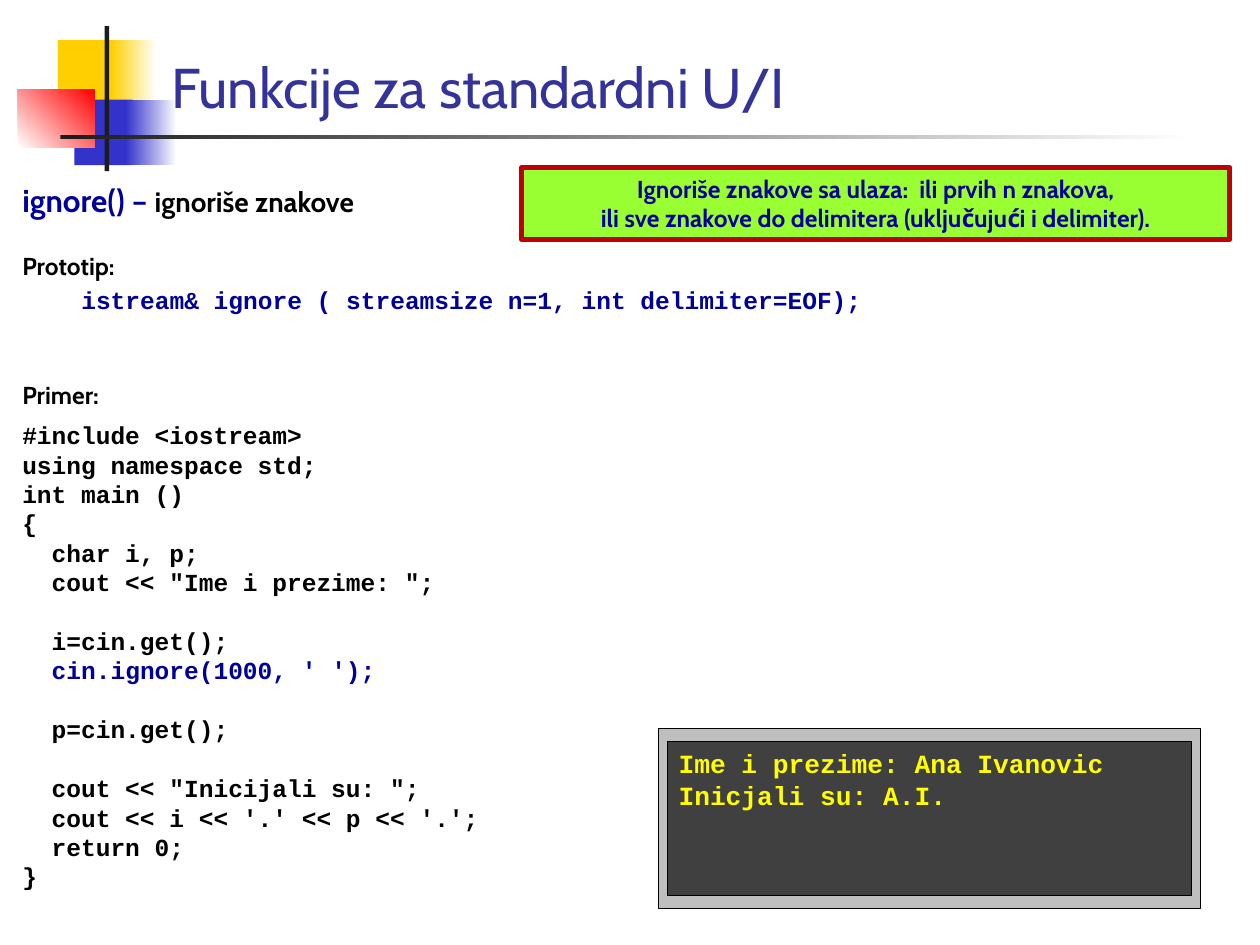
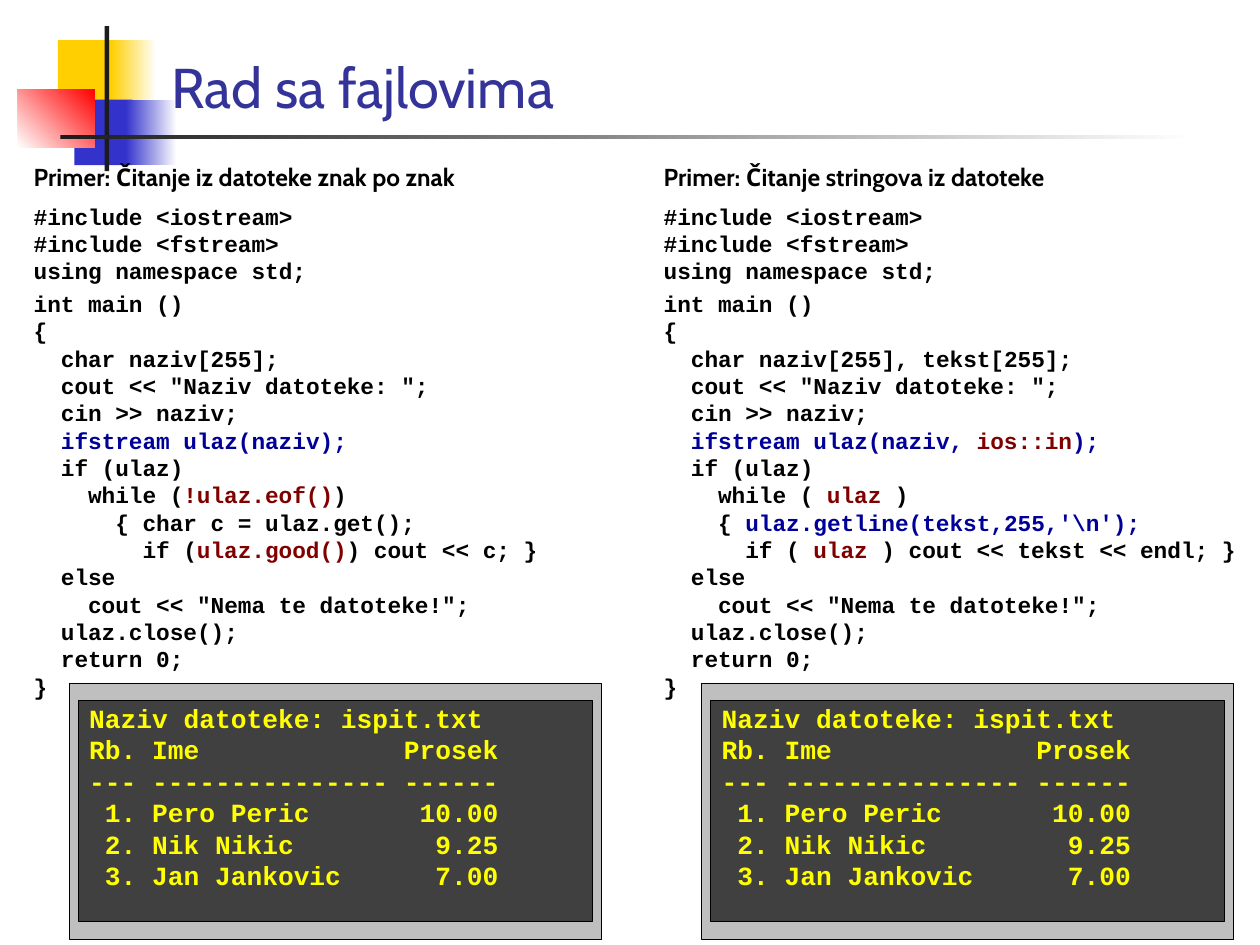
"""Build two lecture slides on C++ stream input and reading files."""
import pptx
import pptx.dml.color
import pptx.enum.shapes
import pptx.enum.text
import pptx.util

Cm = pptx.util.Cm
Pt = pptx.util.Pt
RECTANGLE = pptx.enum.shapes.MSO_SHAPE.RECTANGLE

COLORS = {
    "white": "FFFFFF", "black": "000000", "ink": "1C1C1C",
    "gold": "FFCF01", "royal": "3333CC", "red": "FF0000",
    "title": "333399", "navy": "000099", "maroon": "800000",
    "lime": "99FF33", "border": "C00000",
    "frame": "BFBFBF", "screen": "404040", "output": "FFFF00",
}
PROSE = "Cabin"
CODE = "Courier New"
BLANK_LINE = 16.8


def line(*parts, font=CODE, size=14, color="black", before=0, indent=0):
    """Describe one paragraph; a part is a text or a (text, colour) pair."""
    pairs = [(part, color) if isinstance(part, str) else part for part in parts]
    return {"parts": pairs, "font": font, "size": size, "before": before, "indent": indent}


class Deck:
    """Hold the shared style and the slide being drawn."""

    def __init__(self):
        self.presentation = pptx.Presentation()
        self.presentation.slide_width = Cm(25.4)
        self.presentation.slide_height = Cm(19.05)
        self.layout = self.presentation.slide_layouts[5]
        self.slide = None

    def rgb(self, name):
        """Return a palette colour."""
        return pptx.dml.color.RGBColor.from_string(COLORS[name])

    def start(self, title):
        """Add a slide with its title."""
        self.slide = self.presentation.slides.add_slide(self.layout)
        heading = self.slide.shapes.title
        heading.left, heading.top, heading.width, heading.height = map(Cm, (3.2, 0.33, 22.2, 2.21))
        frame = heading.text_frame
        frame.auto_size = pptx.enum.text.MSO_AUTO_SIZE.NONE
        frame.vertical_anchor = pptx.enum.text.MSO_ANCHOR.BOTTOM
        self.set_lines(frame, [line(title, font=PROSE, size=32, color="title")], bold=False)

    def block(self, box, fill, fade=None, angle=0, border=None, border_width=0.5, shapes=None):
        """Draw a rectangle, plain or fading from one colour to another."""
        shapes = self.slide.shapes if shapes is None else shapes
        rectangle = shapes.add_shape(RECTANGLE, *map(Cm, box))
        rectangle.shadow.inherit = False
        if fade:
            rectangle.fill.gradient()
            rectangle.fill.gradient_angle = angle
            for stop, color in zip(rectangle.fill.gradient_stops, (fill, fade)):
                stop.color.rgb = self.rgb(color)
        else:
            rectangle.fill.solid()
            rectangle.fill.fore_color.rgb = self.rgb(fill)
        if border:
            rectangle.line.color.rgb = self.rgb(border)
            rectangle.line.width = Pt(border_width)
        else:
            rectangle.line.fill.background()
        return rectangle

    def decorate_layout(self):
        """Move the coloured squares and rules onto the shared layout."""
        ornaments = (
            ((1.17, 0.81, 1.22, 1.32), "gold"),
            ((2.24, 0.81, 0.91, 1.32), "gold", "white"),
            ((1.5, 2.01, 1.17, 1.32), "royal"),
            ((2.54, 2.01, 1.02, 1.32), "royal", "white"),
            ((0.36, 1.8, 1.55, 1.17), "white", "red", 45),
            ((2.11, 0.53, 0.09, 2.92), "ink"),
            ((1.22, 2.72, 22.86, 0.09), "ink", "white"),
        )
        for ornament in ornaments:
            self.layout.shapes.element.append(self.block(*ornament).element)

    def set_lines(self, frame, lines, bold=True, align=pptx.enum.text.PP_ALIGN.LEFT):
        """Fill a text frame with described lines."""
        frame.word_wrap = True
        for number, entry in enumerate(lines):
            paragraph = frame.add_paragraph() if number else frame.paragraphs[0]
            paragraph.alignment = align
            paragraph.space_before = Pt(entry["before"])
            if entry["indent"]:
                paragraph._p.get_or_add_pPr().set("marL", str(Cm(entry["indent"])))
            for text, color in entry["parts"]:
                run = paragraph.add_run()
                run.text = text
                run.font.name = entry["font"]
                run.font.size = Pt(entry["size"])
                run.font.bold = bold
                run.font.color.rgb = self.rgb(color)

    def text(self, box, lines):
        """Add a text box."""
        frame = self.slide.shapes.add_textbox(*map(Cm, box)).text_frame
        self.set_lines(frame, lines)
        return frame

    def callout(self, box, lines):
        """Add a bordered green note."""
        note = self.block(box, "lime", border="border", border_width=3)
        note.text_frame.vertical_anchor = pptx.enum.text.MSO_ANCHOR.TOP
        self.set_lines(note.text_frame, lines, align=pptx.enum.text.PP_ALIGN.CENTER)

    def console(self, box, rim, lines, lift=0):
        """Add a monitor showing program output."""
        left, top, width, height = box
        side = 0.18
        screen = (left + side, top + rim, width - 2 * side, height - 2 * rim)
        monitor = self.slide.shapes.add_group_shape()
        self.block(box, "frame", border="black", shapes=monitor.shapes)
        self.block(screen, "screen", border="black", shapes=monitor.shapes)
        output = (screen[0] + 0.22, screen[1] - lift, screen[2] - 0.22, screen[3])
        frame = self.text(output, [line(row, size=15, color="output") for row in lines])
        frame.margin_left = frame.margin_right = 0


def listing(heading, *body):
    """Wrap the body of a file-reading program in its common lines."""
    start = [
        line(heading, font=PROSE),
        line("#include <iostream>", size=13, before=6),
        line("#include <fstream>", size=13),
        line("using namespace std;", size=13),
        line("int main ()", size=13, before=3),
    ]
    end = ("  else", '    cout << "Nema te datoteke!";', "  ulaz.close();", "  return 0;", "}")
    rows = [row if isinstance(row, tuple) else (row,) for row in ("{", *body, *end)]
    return start + [line(*row, size=13) for row in rows]


def ignore_slide(deck):
    """Explain ignore() with its prototype and an example."""
    deck.start("Funkcije za standardni U/I")
    deck.decorate_layout()
    name = line(("ignore() – ", "navy"), "ignoriše znakove", font=PROSE, size=16)
    prototype = [
        name,
        line("Prototip:", font=PROSE, before=18),
        line("istream& ignore ( streamsize n=1, int delimiter=EOF);",
             color="navy", before=3, indent=1.19),
    ]
    heading = deck.text((0.2, 3.53, 20.93, 3.81), prototype).paragraphs[0]
    heading.runs[0].font.size = Pt(18)
    deck.console((13.28, 14.68, 10.92, 3.63), 0.26,
                 ("Ime i prezime: Ana Ivanovic", "Inicjali su: A.I."))
    deck.callout((10.52, 3.38, 14.27, 1.45), [
        line(row, font=PROSE, color="navy") for row in (
            "Ignoriše znakove sa ulaza:  ili prvih n znakova,",
            "ili sve znakove do delimitera (uključujući i delimiter).")
    ])
    deck.text((0.2, 7.54, 10.72, 8.53), [
        line("Primer:", font=PROSE),
        line("#include <iostream>", before=6),
        line("using namespace std;"),
        line("int main ()"),
        line("{"),
        line("  char i, p;"),
        line('  cout << "Ime i prezime: ";'),
        line("  i=cin.get();", before=BLANK_LINE),
        line("  ", ("cin.ignore(1000, ' ');", "navy")),
        line("  p=cin.get();", before=BLANK_LINE),
        line('  cout << "Inicijali su: ";', before=BLANK_LINE),
        line("  cout << i << '.' << p << '.';"),
        line("  return 0;"),
        line("}"),
    ])


def files_slide(deck):
    """Compare reading a file by character and by line."""
    deck.start("Rad sa fajlovima")
    by_character = listing(
        "Primer: Čitanje iz datoteke znak po znak",
        "  char naziv[255];",
        '  cout << "Naziv datoteke: ";',
        "  cin >> naziv;",
        ("  ", ("ifstream ulaz(naziv);", "navy")),
        "  if (ulaz)",
        ("    while (", ("!ulaz.eof()", "maroon"), ")"),
        "      { char c = ulaz.get();",
        ("        if (", ("ulaz.good()", "maroon"), ") cout << c; }"),
    )
    by_string = listing(
        "Primer: Čitanje stringova iz datoteke",
        "  char naziv[255], tekst[255];",
        '  cout << "Naziv datoteke: ";',
        "  cin >> naziv;",
        ("  ", ("ifstream ulaz(naziv, ", "navy"), ("ios::in", "maroon"), (");", "navy")),
        "  if (ulaz)",
        ("    while ( ", ("ulaz", "maroon"), " )"),
        ("    { ", ("ulaz.getline(tekst,255,'\\n');", "navy")),
        ("      if ( ", ("ulaz", "maroon"), " ) cout << tekst << endl; }"),
    )
    grades = (
        "Naziv datoteke: ispit.txt",
        "Rb. Ime             Prosek",
        "--- --------------- ------",
        " 1. Pero Peric       10.00",
        " 2. Nik Nikic         9.25",
        " 3. Jan Jankovic      7.00",
    )
    columns = ((0.43, 11.51, 1.4, by_character), (13.13, 12.27, 14.15, by_string))
    for left, width, console_left, program in columns:
        deck.text((left, 3.15, width, 9.32), program)
        deck.console((console_left, 13.77, 10.72, 5.16), 0.36, grades, lift=0.1)


def main():
    """Build and save the deck."""
    deck = Deck()
    ignore_slide(deck)
    files_slide(deck)
    deck.presentation.save("out.pptx")


if __name__ == "__main__":
    main()
